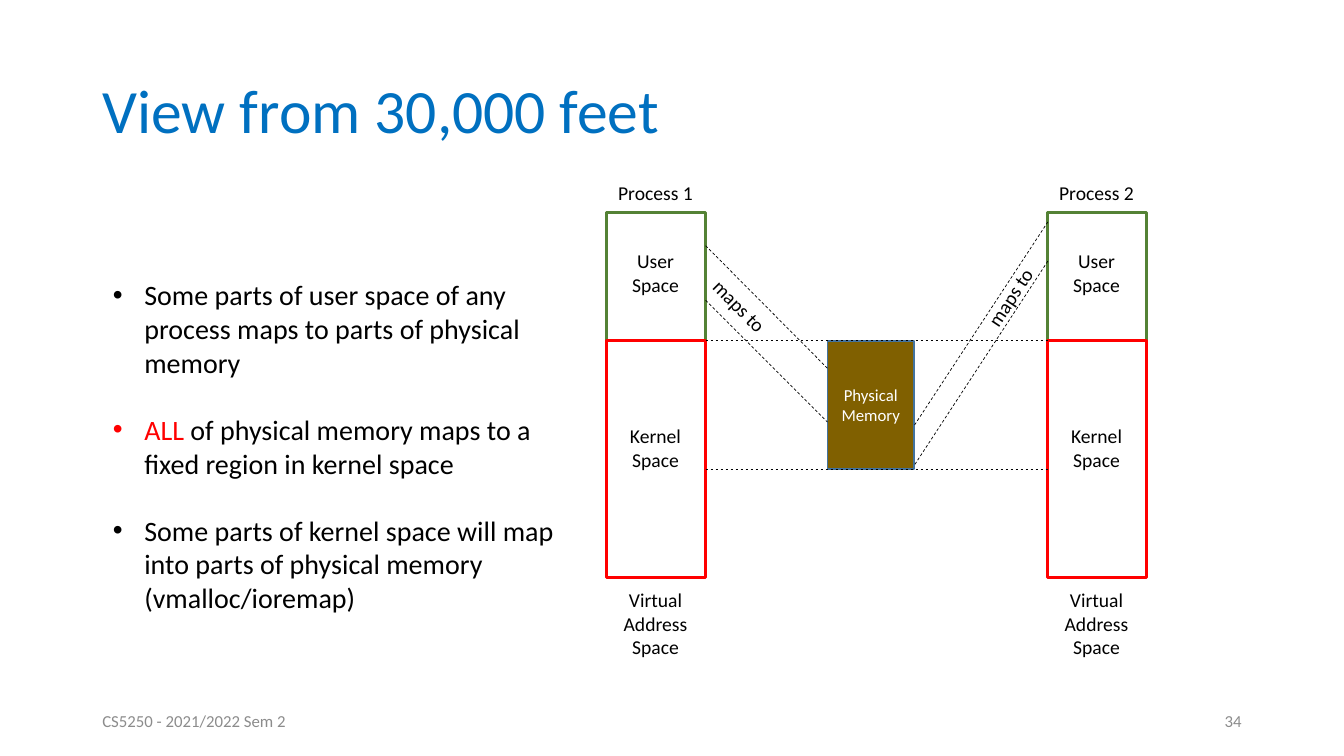
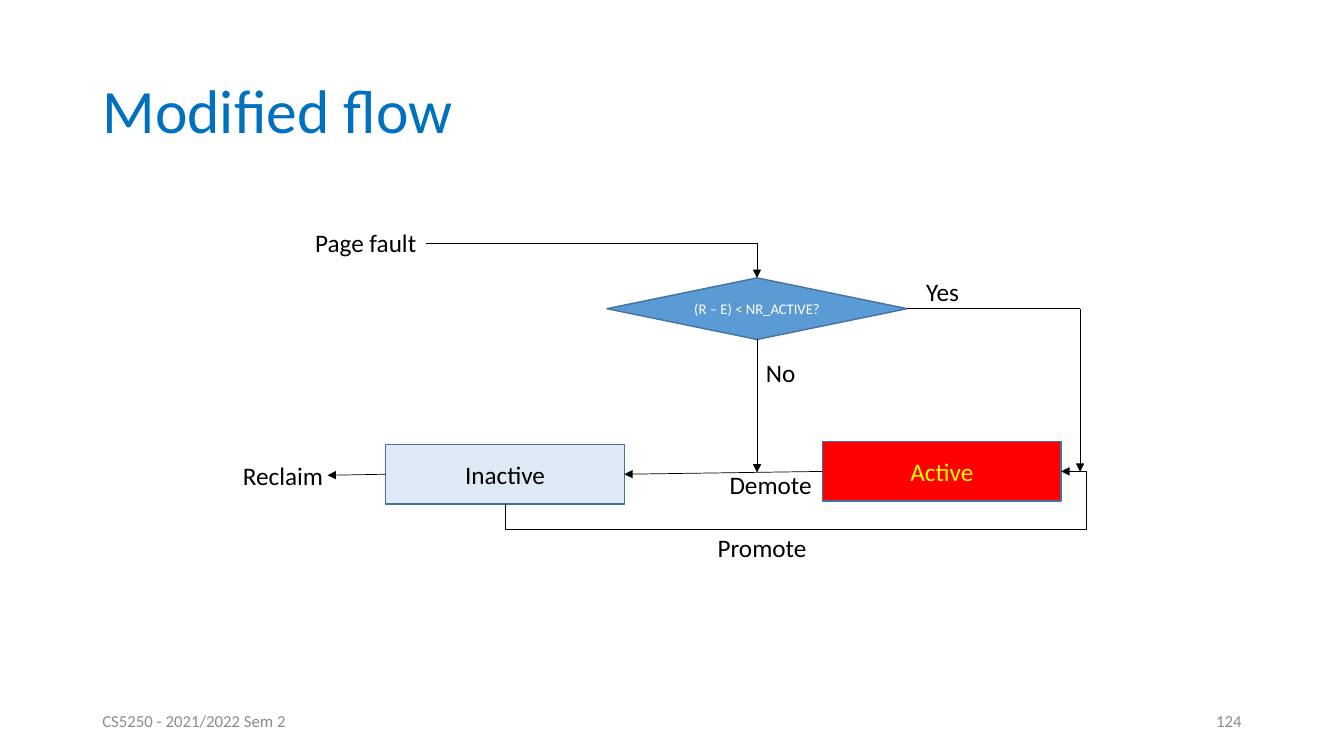
from dataclasses import dataclass
from typing import Optional, Union

from lxml import etree
from pptx import Presentation
from pptx.dml.color import RGBColor
from pptx.enum import dml, shapes, text
from pptx.oxml.ns import qn
from pptx.shapes.autoshape import Shape
from pptx.shapes.connector import Connector
from pptx.slide import Slide
from pptx.util import Pt


@dataclass(frozen=True)
class Theme:
    font: str = "Calibri"
    title: str = "0070C0"
    footer: str = "8C8C8C"
    ink: str = "000000"
    white: str = "FFFFFF"
    edge: str = "43739E"
    user: str = "548235"
    red: str = "FF0000"
    memory: str = "806000"
    inactive: str = "DEEBF7"
    decision: str = "5B9BD5"
    yellow: str = "FFFF00"
    title_size: float = 44
    bullet_size: float = 20
    flow_size: float = 18
    label_size: float = 14
    small_size: float = 12
    test_size: float = 10.5
    thin: float = 0.5
    edge_width: float = 1
    space_width: float = 2


THEME = Theme()
CENTER, LEFT, RIGHT = (text.PP_ALIGN.CENTER, text.PP_ALIGN.LEFT, text.PP_ALIGN.RIGHT)
MIDDLE, TOP = text.MSO_ANCHOR.MIDDLE, text.MSO_ANCHOR.TOP


@dataclass(frozen=True)
class Area:
    left: float
    top: float
    width: float
    height: float

    def lengths(self) -> tuple:
        return Pt(self.left), Pt(self.top), Pt(self.width), Pt(self.height)


@dataclass(frozen=True)
class Label:
    words: str
    area: Area
    size: float
    color: str = THEME.ink
    align: text.PP_ALIGN = LEFT
    anchor: text.MSO_ANCHOR = TOP
    rotation: float = 0


@dataclass(frozen=True)
class Block:
    area: Area
    line: str
    width: float = THEME.edge_width
    fill: Optional[str] = None
    words: str = ""
    size: float = THEME.flow_size
    color: str = THEME.ink
    kind: shapes.MSO_SHAPE = shapes.MSO_SHAPE.RECTANGLE


@dataclass(frozen=True)
class Side:
    """Middle of a shape's side: 0 top, 1 left, 2 bottom, 3 right."""
    shape: Shape
    site: int


@dataclass(frozen=True)
class Point:
    x: float
    y: float


End = Union[Point, Side]


def rgb(color: str) -> RGBColor:
    return RGBColor.from_string(color)


def write(shape: Shape, words: str, size: float, color: str,
          align: text.PP_ALIGN, anchor: text.MSO_ANCHOR) -> None:
    frame = shape.text_frame
    frame.text = words
    frame.vertical_anchor = anchor
    for para in frame.paragraphs:
        para.alignment = align
        para.font.name = THEME.font
        para.font.size = Pt(size)
        para.font.color.rgb = rgb(color)


def add_label(page: Slide, label: Label) -> None:
    box = page.shapes.add_textbox(*label.area.lengths())
    write(box, label.words, label.size, label.color, label.align, label.anchor)
    box.text_frame.word_wrap = False
    box.rotation = label.rotation


def add_block(page: Slide, block: Block) -> Shape:
    shape = page.shapes.add_shape(block.kind, *block.area.lengths())
    shape.shadow.inherit = False
    if block.fill:
        shape.fill.solid()
        shape.fill.fore_color.rgb = rgb(block.fill)
    else:
        shape.fill.background()
    shape.line.color.rgb = rgb(block.line)
    shape.line.width = Pt(block.width)
    if block.words:
        write(shape, block.words, block.size, block.color, CENTER, MIDDLE)
    return shape


def style_line(line: Connector, arrow: bool, dashed: bool = False) -> None:
    line.line.color.rgb = rgb(THEME.ink)
    line.line.width = Pt(THEME.thin)
    if dashed:
        line.line.dash_style = dml.MSO_LINE.DASH
    properties = line._element.spPr
    if arrow:
        etree.SubElement(properties.find(qn("a:ln")), qn("a:tailEnd"), type="triangle")
    etree.SubElement(properties, qn("a:effectLst"))


def add_line(page: Slide, start: End, end: End,
             arrow: bool = False, dashed: bool = False) -> None:
    coordinates = [Pt(value) for place in (start, end)
                   for value in ((place.x, place.y) if isinstance(place, Point) else (0, 0))]
    line = page.shapes.add_connector(shapes.MSO_CONNECTOR.STRAIGHT, *coordinates)
    if isinstance(start, Side):
        line.begin_connect(start.shape, start.site)
    if isinstance(end, Side):
        line.end_connect(end.shape, end.site)
    style_line(line, arrow, dashed)


def add_loop(page: Slide, start: Point, end: Point, reach: float) -> None:
    """Arrow that leaves downwards, passes the end and comes back from its right."""
    rise, run = start.y - end.y, end.x - start.x
    middle_x, middle_y = (start.x + end.x) / 2, (start.y + end.y) / 2
    # The frame is a quarter turn away from the drawn position
    line = page.shapes.add_connector(
        shapes.MSO_CONNECTOR.ELBOW,
        Pt(middle_x + rise / 2), Pt(middle_y + run / 2),
        Pt(middle_x - rise / 2), Pt(middle_y - run / 2))
    properties = line._element.spPr
    properties.find(qn("a:xfrm")).set("rot", "5400000")
    geometry = properties.find(qn("a:prstGeom"))
    geometry.set("prst", "bentConnector4")
    guides = geometry.find(qn("a:avLst"))
    if guides is None:
        guides = etree.SubElement(geometry, qn("a:avLst"))
    for name, ratio in (("adj1", -reach / rise), ("adj2", 1 + reach / run)):
        etree.SubElement(guides, qn("a:gd"), name=name, fmla=f"val {round(ratio * 100000)}")
    style_line(line, arrow=True)


def add_page(deck: Presentation, heading: str, number: int) -> Slide:
    """Page with the shared title, footer and page number."""
    page = deck.slides.add_slide(deck.slide_layouts[5])
    title = page.shapes.title
    title.left, title.top, title.width, title.height = Area(66, 28.8, 828, 104.4).lengths()
    write(title, heading, THEME.title_size, THEME.title, LEFT, MIDDLE)
    title.text_frame.auto_size = text.MSO_AUTO_SIZE.NONE
    title.text_frame.paragraphs[0].line_spacing = 0.9
    for words, left, align in (("CS5250 - 2021/2022 Sem 2", 66, LEFT),
                               (str(number), 678, RIGHT)):
        add_label(page, Label(words, Area(left, 500.4, 216, 28.8), THEME.small_size,
                              THEME.footer, align, MIDDLE))
    return page


def add_bullets(page: Slide, area: Area, bullets: list) -> None:
    frame = page.shapes.add_textbox(*area.lengths()).text_frame
    frame.word_wrap = True
    for index, spans in enumerate(bullets):
        para = frame.add_paragraph() if index else frame.paragraphs[0]
        properties = para._p.get_or_add_pPr()
        properties.set("marL", str(Pt(22.5)))
        properties.set("indent", str(-Pt(22.5)))
        if index:
            para.space_before = Pt(24)
        etree.SubElement(properties, qn("a:buFont"), typeface="Arial")
        etree.SubElement(properties, qn("a:buChar"), char="•")
        para.font.name = THEME.font
        para.font.size = Pt(THEME.bullet_size)
        for words, color in spans:
            span = para.add_run()
            span.text = words
            span.font.color.rgb = rgb(color)


def add_process(page: Slide, left: float, name: str) -> None:
    """Virtual address space of one process, with its labels."""
    width = 70.5
    add_block(page, Block(Area(left, 152, width, 91.5), THEME.user, THEME.space_width))
    add_block(page, Block(Area(left, 243.5, width, 169), THEME.red, THEME.space_width))
    for words, top, height in ((name, 126, 24.5), ("User\nSpace", 174.5, 41),
                               ("Kernel\nSpace", 299.5, 41),
                               ("Virtual\nAddress\nSpace", 416.5, 58)):
        add_label(page, Label(words, Area(left - 0.5, top, width, height),
                              THEME.label_size, align=CENTER))


def build_memory_page(deck: Presentation) -> None:
    page = add_page(deck, "View from 30,000 feet", 34)
    add_process(page, 433.5, "Process 1")
    add_process(page, 748.5, "Process 2")
    add_block(page, Block(Area(591, 243.5, 62, 91.5), THEME.edge, fill=THEME.memory,
                          words="Physical\nMemory", size=THEME.small_size,
                          color=THEME.white))

    # Mappings between the address spaces and physical memory
    for x1, y1, x2, y2 in ((504, 243, 748.5, 243), (504, 335.5, 748.5, 335.5),
                           (504, 175.5, 591, 263), (504, 214.5, 591, 301.5),
                           (748.5, 158.5, 653, 304), (748.5, 186.5, 653, 332.5)):
        add_line(page, Point(x1, y1), Point(x2, y2), dashed=True)
    for left, top, rotation in ((498, 206.5, 45.4), (691.5, 200, 303.6)):
        add_label(page, Label("maps to", Area(left, top, 60.5, 24.5),
                              THEME.label_size, rotation=rotation))

    add_bullets(page, Area(73.5, 195, 337, 250), [
        [("Some parts of user space of any process maps to parts of physical memory",
          THEME.ink)],
        [("ALL", THEME.red),
         (" of physical memory maps to a fixed region in kernel space", THEME.ink)],
        [("Some parts of kernel space will map into parts of physical memory "
          "(vmalloc/ioremap)", THEME.ink)],
    ])


def build_flow_page(deck: Presentation) -> None:
    page = add_page(deck, "Modified flow", 124)

    # Page lists and the test
    inactive = add_block(page, Block(Area(275.5, 317.5, 170.5, 42.5), THEME.edge,
                                     fill=THEME.inactive, words="Inactive"))
    active = add_block(page, Block(Area(587.5, 315.5, 170.5, 42.5), THEME.edge,
                                   fill=THEME.red, words="Active", color=THEME.yellow))
    decision = add_block(page, Block(Area(433.5, 198.5, 214.5, 44), THEME.edge,
                                     fill=THEME.decision, words="(R – E) < NR_ACTIVE?",
                                     size=THEME.test_size, color=THEME.white,
                                     kind=shapes.MSO_SHAPE.FLOWCHART_DECISION))

    # Paths between them
    corner, yes_corner = Point(540.75, 173.5), Point(771.5, 220.5)
    add_line(page, Point(304.5, 173.5), corner)
    add_line(page, corner, Side(decision, 0), arrow=True)
    add_line(page, Side(decision, 2), Point(540.75, 337.5), arrow=True)
    add_line(page, Side(decision, 3), yes_corner)
    add_line(page, yes_corner, Point(771.5, 337), arrow=True)
    add_line(page, Side(active, 1), Side(inactive, 3), arrow=True)
    add_line(page, Side(inactive, 1), Point(234, 339.5), arrow=True)
    add_loop(page, Point(360.75, 360), Point(758, 336.75), reach=18)

    for words, left, top, width in (("Page fault", 218, 158.5, 88),
                                    ("Reclaim", 166.5, 325, 72.5),
                                    ("Promote", 505.5, 376.5, 78.5),
                                    ("Demote", 514, 332, 74),
                                    ("No", 540, 252, 36),
                                    ("Yes", 654.5, 193.5, 38)):
        add_label(page, Label(words, Area(left, top, width, 29), THEME.flow_size))


def main() -> None:
    deck = Presentation()
    deck.slide_width, deck.slide_height = Pt(960), Pt(540)
    build_memory_page(deck)
    build_flow_page(deck)
    deck.save("out.pptx")


if __name__ == "__main__":
    main()
